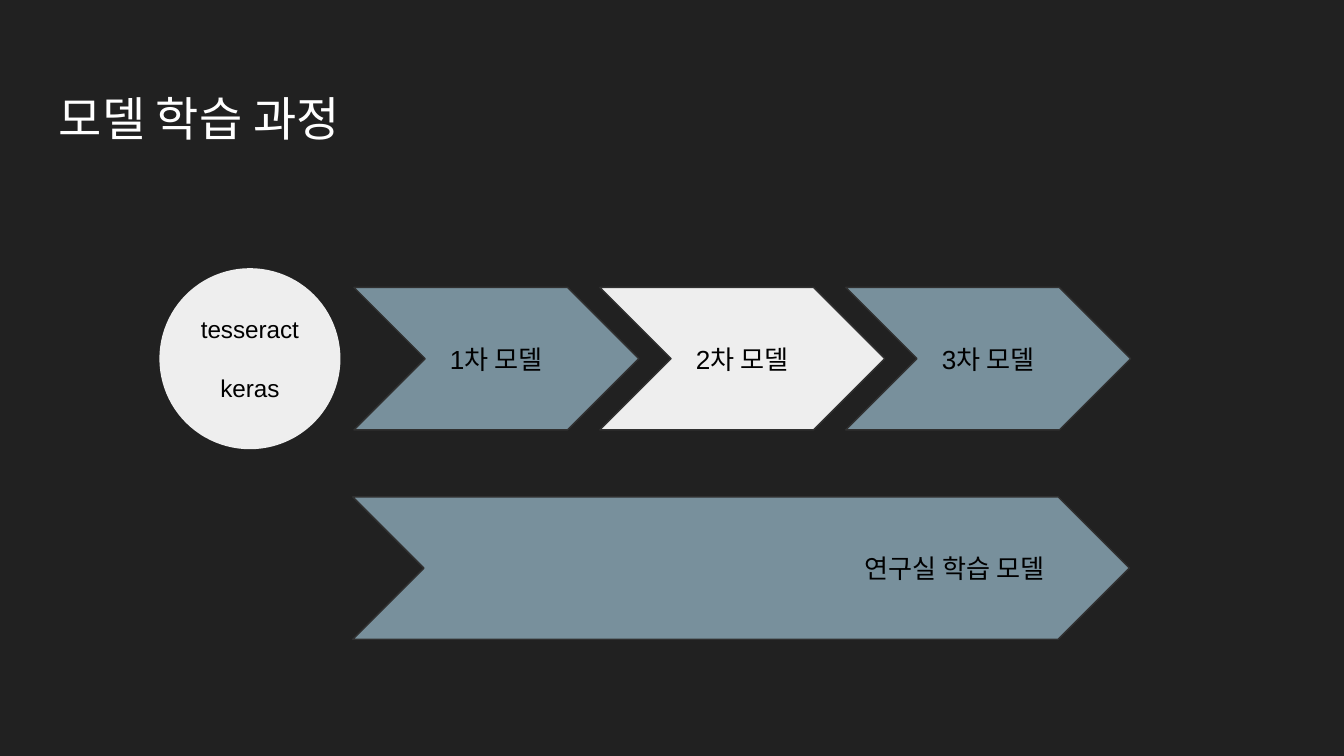
from dataclasses import dataclass

from pptx import Presentation
from pptx.dml.color import RGBColor
from pptx.enum.shapes import MSO_SHAPE as Shape
from pptx.enum.text import MSO_ANCHOR as Anchor, PP_ALIGN as Align
from pptx.util import Pt


@dataclass(frozen=True)
class Theme:
    font: str = "Arial"
    background: str = "212121"
    title_ink: str = "FFFFFF"
    ink: str = "000000"
    slate: str = "78909C"
    light: str = "EEEEEE"
    outline: str = "303030"
    title_size: float = 25.2
    step_size: float = 14
    tool_size: float = 13


class SlideBuilder:
    def __init__(self, page, theme):
        self.page = page
        self.theme = theme
        page.background.fill.solid()
        page.background.fill.fore_color.rgb = RGBColor.from_string(theme.background)

    def set_text(self, shape, lines, size, ink, align, anchor, gap=0):
        """Fill a shape with one paragraph per line, gap points apart."""
        frame = shape.text_frame
        frame.text = "\n".join(lines)
        frame.word_wrap = True
        frame.vertical_anchor = anchor
        frame.margin_left = frame.margin_right = Pt(7.2)
        frame.margin_top = frame.margin_bottom = Pt(7.2)
        for index, para in enumerate(frame.paragraphs):
            para.alignment = align
            if index:
                para.space_before = Pt(gap)
            for span in para.runs:
                span.font.name = self.theme.font
                span.font.size = Pt(size)
                span.font.color.rgb = RGBColor.from_string(ink)

    def title(self, text, left, top, width, height):
        box = self.page.shapes.add_textbox(Pt(left), Pt(top), Pt(width), Pt(height))
        self.set_text(box, [text], self.theme.title_size, self.theme.title_ink,
                      Align.LEFT, Anchor.TOP)

    def filled(self, kind, left, top, width, height, fill):
        shape = self.page.shapes.add_shape(kind, Pt(left), Pt(top), Pt(width), Pt(height))
        shape.shadow.inherit = False
        shape.fill.solid()
        shape.fill.fore_color.rgb = RGBColor.from_string(fill)
        return shape

    def chevron(self, text, left, top, width, height, fill, align=Align.CENTER):
        shape = self.filled(Shape.CHEVRON, left, top, width, height, fill)
        shape.adjustments[0] = 0.5
        shape.line.color.rgb = RGBColor.from_string(self.theme.outline)
        shape.line.width = Pt(0.75)
        self.set_text(shape, [text], self.theme.step_size, self.theme.ink,
                      align, Anchor.MIDDLE)

    def circle(self, lines, left, top, diameter, fill, gap):
        shape = self.filled(Shape.OVAL, left, top, diameter, diameter, fill)
        shape.line.fill.background()
        self.set_text(shape, lines, self.theme.tool_size, self.theme.ink,
                      Align.CENTER, Anchor.MIDDLE, gap)


def main():
    theme = Theme()
    deck = Presentation()
    deck.slide_width, deck.slide_height = Pt(720), Pt(405)
    builder = SlideBuilder(deck.slides.add_slide(deck.slide_layouts[6]), theme)

    builder.title("모델 학습 과정", 24.5, 41, 671, 45.4)

    first_left, pitch, height = 189.6, 131.75, 76.3
    steps = [("1차 모델", theme.slate), ("2차 모델", theme.light), ("3차 모델", theme.slate)]
    for index, (label, fill) in enumerate(steps):
        builder.chevron(label, first_left + index * pitch, 154, 152.6, height, fill)

    builder.circle(["tesseract", "keras"], 85.4, 143.7, 97, theme.light, gap=16)
    builder.chevron("연구실 학습 모델", 189, 266.2, 416, height, theme.slate, Align.RIGHT)

    deck.save("out.pptx")


if __name__ == "__main__":
    main()
